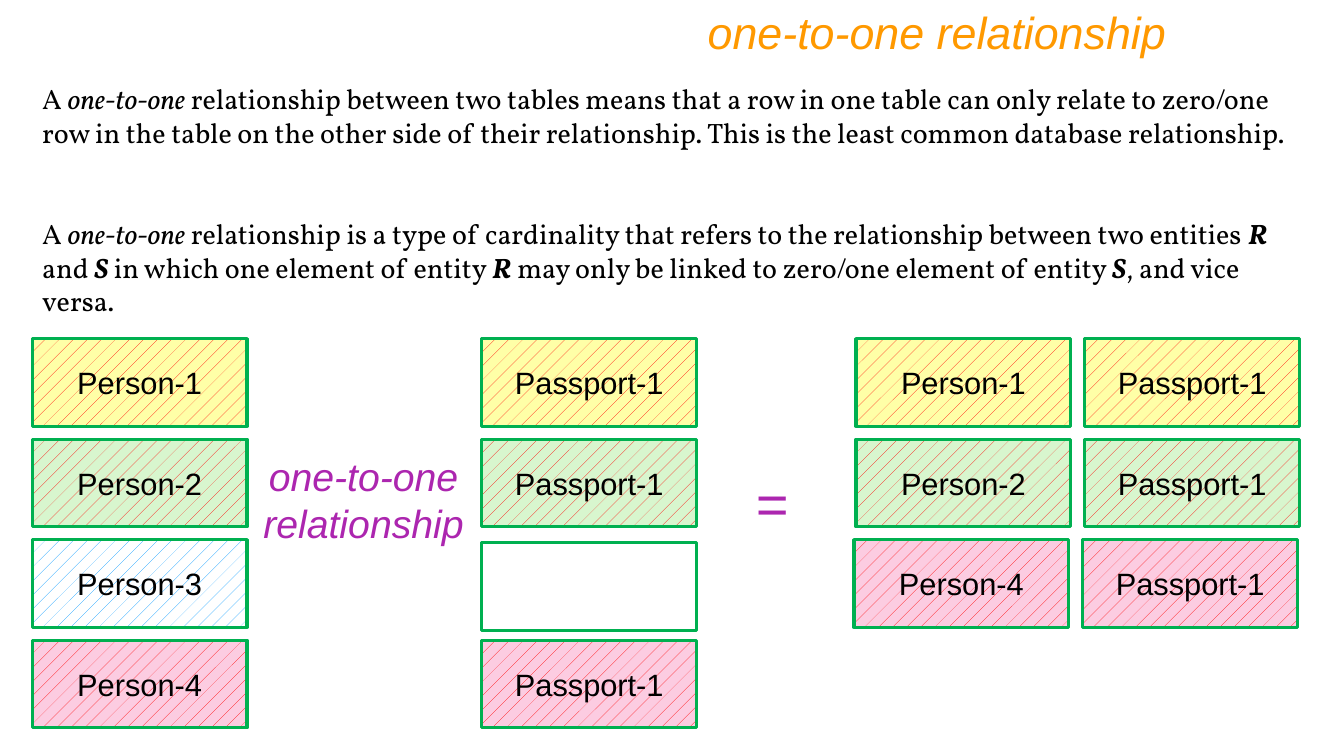
import pptx
import pptx.dml.color
import pptx.enum.dml
import pptx.enum.text
import pptx.util
from pptx.util import Inches

YELLOW, GREEN, WHITE, PINK = "FFFFA7", "D8F6CE", "FFFFFF", "FCCCE1"
RED, BLUE = "FF0000", "0099FF"
BORDER, PURPLE, ORANGE, BLACK = "00B050", "AC26AF", "FF9900", "000000"
LEFT, PASSPORT_LEFT, RESULT_LEFT = 0.32, 4.78, 8.49
ROW_TOP, ROW_STEP = 3.36, 0.997
CELL_WIDTH, CELL_HEIGHT = 2.13, 0.87
CENTER = pptx.enum.text.PP_ALIGN.CENTER

DEFINITION = [
    ("A ", ""), ("one-to-one", "i"),
    (" relationship between two tables means that a row in one table can only "
     "relate to zero/one row in the table on the other side of their "
     "relationship. This is the least common database relationship.", ""),
]
CARDINALITY = [
    ("A ", ""), ("one-to-one", "i"),
    (" relationship is a type of cardinality that refers to the relationship "
     "between two entities ", ""),
    ("R", "bi"), (" and ", ""), ("S", "bi"),
    (" in which one element of entity ", ""), ("R", "bi"),
    (" may only be linked to zero/one element of entity ", ""),
    ("S", "bi"), (", and vice versa.", ""),
]


def rgb(color):
    return pptx.dml.color.RGBColor.from_string(color)


def format_paragraph(paragraph, size, color, name="Arial", italic=None, align=None):
    paragraph.alignment = align
    font = paragraph.font
    font.size, font.name, font.italic = pptx.util.Pt(size), name, italic
    font.color.rgb = rgb(color)


def add_title(slide, text):
    title = slide.shapes.title
    title.left, title.top = Inches(1.67), Inches(0)
    title.width, title.height = Inches(10), Inches(0.64)
    title.text_frame.text = text
    title.text_frame.vertical_anchor = pptx.enum.text.MSO_ANCHOR.TOP
    format_paragraph(title.text_frame.paragraphs[0], 32, ORANGE, italic=True,
                     align=pptx.enum.text.PP_ALIGN.RIGHT)


def add_text(slide, left, top, width, height):
    box = slide.shapes.add_textbox(Inches(left), Inches(top), Inches(width), Inches(height))
    box.text_frame.word_wrap = True
    return box.text_frame.paragraphs[0]


def add_explanation(slide, top, width, runs):
    paragraph = add_text(slide, LEFT, top, width, 1.11)
    format_paragraph(paragraph, 20, BLACK, "Vollkorn")
    for text, style in runs:
        run = paragraph.add_run()
        run.text = text
        run.font.italic = "i" in style
        run.font.bold = "b" in style


def add_operator(slide, left, top, width, height, text, size):
    paragraph = add_text(slide, left, top, width, height)
    paragraph.text = text
    format_paragraph(paragraph, size, PURPLE, italic=True, align=CENTER)


def add_cell(slide, left, top, text=None, background=WHITE, hatch=RED):
    """Draw one entity box; without text it stays unfilled."""
    cell = slide.shapes.add_shape(
        pptx.enum.shapes.MSO_SHAPE.RECTANGLE,
        Inches(left), Inches(top), Inches(CELL_WIDTH), Inches(CELL_HEIGHT))
    cell.shadow.inherit = False
    cell.line.color.rgb = rgb(BORDER)
    cell.line.width = pptx.util.Pt(2.25)
    if text is None:
        cell.fill.background()
        return
    cell.fill.patterned()
    cell.fill.pattern = pptx.enum.dml.MSO_PATTERN.PERCENT_5
    cell.fill.fore_color.rgb = rgb(hatch)
    cell.fill.back_color.rgb = rgb(background)
    cell.text_frame.text = text
    cell.text_frame.vertical_anchor = pptx.enum.text.MSO_ANCHOR.MIDDLE
    format_paragraph(cell.text_frame.paragraphs[0], 22, BLACK, align=CENTER)


def main():
    presentation = pptx.Presentation()
    presentation.slide_width, presentation.slide_height = Inches(13.33), Inches(7.5)
    slide = presentation.slides.add_slide(presentation.slide_layouts[5])
    add_title(slide, "one-to-one relationship")
    add_explanation(slide, 0.76, 12.65, DEFINITION)
    add_explanation(slide, 2.1, 12.41, CARDINALITY)

    for row, background in enumerate([YELLOW, GREEN, WHITE, PINK]):
        top = ROW_TOP + row * ROW_STEP
        person = f"Person-{row + 1}"
        hatch = BLUE if background == WHITE else RED
        add_cell(slide, LEFT, top, person, background, hatch)
        if background == WHITE:
            add_cell(slide, PASSPORT_LEFT, top + 0.03)
            continue
        add_cell(slide, PASSPORT_LEFT, top, "Passport-1", background)
        result_row = min(row, 2)
        result_left = RESULT_LEFT - (0.02 if result_row == 2 else 0)
        result_top = ROW_TOP + result_row * ROW_STEP
        add_cell(slide, result_left, result_top, person, background)
        add_cell(slide, result_left + 2.27, result_top, "Passport-1", background)

    add_operator(slide, 2.49, 4.44, 2.23, 1.04, "one-to-one relationship", 28)
    add_operator(slide, 7.38, 4.6, 0.55, 0.77, "=", 40)
    presentation.save("out.pptx")


if __name__ == "__main__":
    import pptx.enum.shapes
    main()
